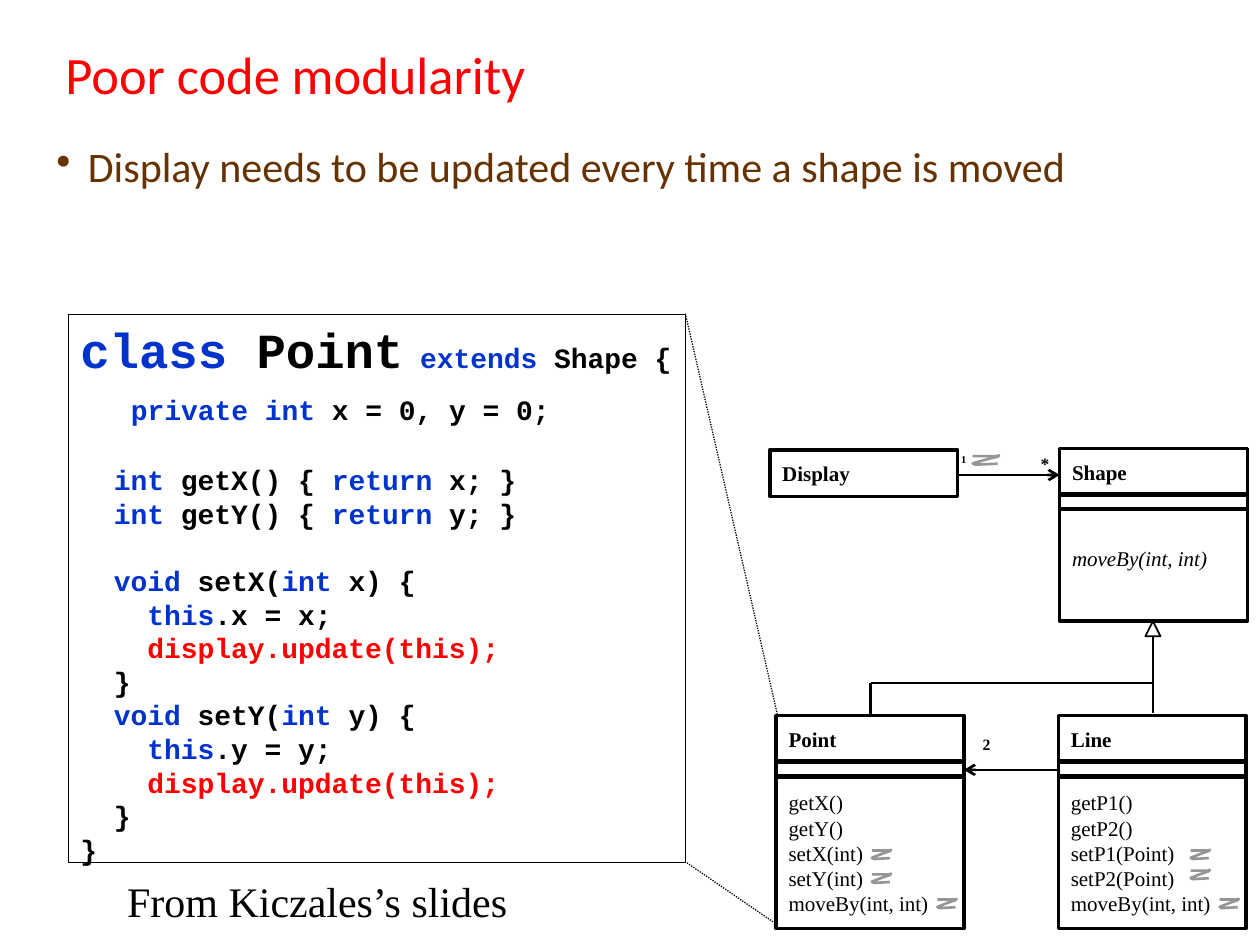
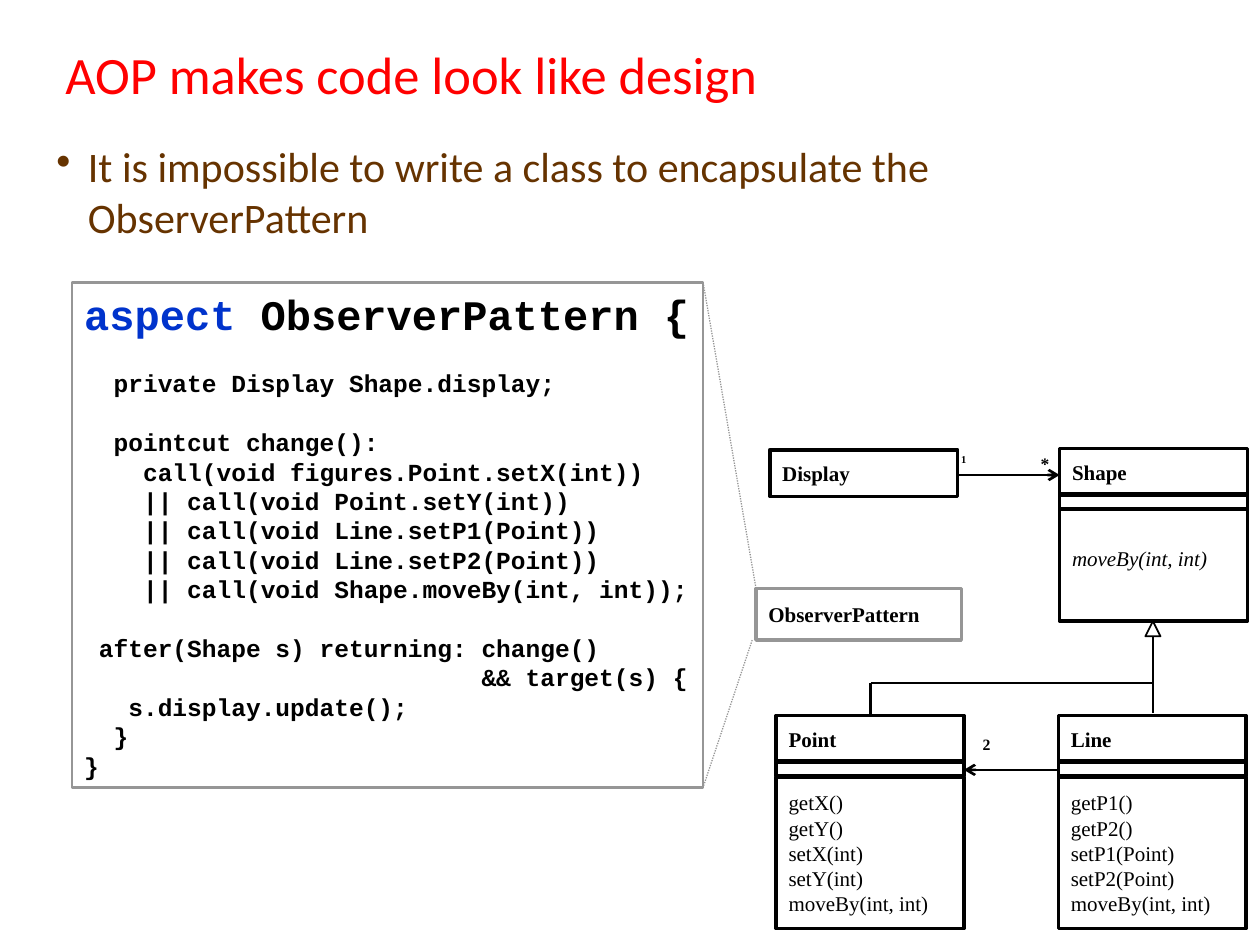
from dataclasses import dataclass

from lxml.etree import SubElement
from pptx import Presentation
from pptx.dml.color import RGBColor
from pptx.enum.dml import MSO_LINE
from pptx.enum.shapes import MSO_CONNECTOR, MSO_SHAPE
from pptx.enum.text import MSO_ANCHOR, PP_ALIGN
from pptx.oxml.ns import qn
from pptx.util import Inches, Pt


@dataclass(frozen=True)
class Theme:
    black: RGBColor = RGBColor(0, 0, 0)
    white: RGBColor = RGBColor(255, 255, 255)
    red: RGBColor = RGBColor(255, 0, 0)
    brown: RGBColor = RGBColor(0x66, 0x33, 0x00)
    keyword: RGBColor = RGBColor(0x00, 0x33, 0xCC)
    gray: RGBColor = RGBColor(0x96, 0x96, 0x96)
    heading_font: str = "Calibri"
    code_font: str = "Courier New"
    diagram_font: str = "Times New Roman"
    title_size: int = 30
    body_size: int = 24
    label_size: int = 12
    leading: float = 1.2


theme = Theme()
prs = Presentation()
prs.slide_width, prs.slide_height = Inches(10), Inches(7.5)
CELL = prs.slide_width / 100  # 100 columns by 75 rows of square cells


def add_box(slide, at, lines=(), font=theme.diagram_font, size=theme.label_size,
            color=theme.black, bold=False, italic=False, outline=None, weight=2,
            fill=None, anchor=MSO_ANCHOR.TOP):
    """Text box, or a rectangle when outlined. ~word~ marks a keyword, "" a blank line."""
    frame_at = [round(cells * CELL) for cells in at]
    if outline is None:
        box = slide.shapes.add_textbox(*frame_at)
    else:
        box = slide.shapes.add_shape(MSO_SHAPE.RECTANGLE, *frame_at)
        box.shadow.inherit = False
        box.line.color.rgb = outline
        box.line.width = Pt(weight)
        if fill is None:
            box.fill.background()
        else:
            box.fill.solid()
            box.fill.fore_color.rgb = fill
    frame = box.text_frame
    frame.word_wrap = True
    frame.vertical_anchor = anchor
    gap, first = 0, True
    for line in lines:
        if not line:
            gap += size * theme.leading
            continue
        paragraph = frame.paragraphs[0] if first else frame.add_paragraph()
        paragraph.alignment = PP_ALIGN.LEFT
        paragraph.line_spacing = 1.0
        if gap:
            paragraph.space_before = Pt(gap)
        gap, first = 0, False
        for index, part in enumerate(line.split("~")):
            if not part:
                continue
            run = paragraph.add_run()
            run.text = part
            run.font.name, run.font.size = font, Pt(size)
            run.font.bold, run.font.italic = bold, italic
            run.font.color.rgb = theme.keyword if index % 2 else color
            if "display.update(this)" in part:
                run.font.color.rgb = theme.red
    return box


def add_line(slide, start, end, color=theme.black, weight=1.5, dotted=False, arrow=False):
    ends = [round(cells * CELL) for cells in (*start, *end)]
    line = slide.shapes.add_connector(MSO_CONNECTOR.STRAIGHT, *ends)
    line.line.color.rgb = color
    line.line.width = Pt(weight)
    if dotted:
        line.line.dash_style = MSO_LINE.ROUND_DOT
    properties = line.line._get_or_add_ln()
    if arrow:
        SubElement(properties, qn("a:tailEnd"), type="arrow")
    SubElement(properties.getparent(), qn("a:effectLst"))


point_code = [
    "~class~ Point~ extends~ Shape {",
    "  ~private int ~x = 0, y = 0;",
    "",
    "  ~int ~getX() { ~return ~x; }",
    "  ~int ~getY() { ~return ~y; }",
    "",
    "  ~void ~setX(~int ~x) {",
    "    ~this~.x = x;",
    "    display.update(this);",
    "  }",
    "  ~void ~setY(~int ~y) {",
    "    ~this~.y = y;",
    "    display.update(this);",
    "  }",
    "}",
]
aspect_code = [
    "~aspect~ ObserverPattern {",
    "",
    "  private Display Shape.display;",
    "",
    "  pointcut change():",
    "    call(void figures.Point.setX(int))",
    "    || call(void Point.setY(int))",
    "    || call(void Line.setP1(Point))",
    "    || call(void Line.setP2(Point))",
    "    || call(void Shape.moveBy(int, int));",
    "",
    " after(Shape s) returning: change()",
    "                           && target(s) {",
    "   s.display.update();",
    "  }",
    "}",
]

# name, left, top, gap above the methods, height of the methods, methods
uml_classes = [
    ("Point", 61.6, 56.8, 1.3, 12,
     ["getX()", "getY()", "setX(int)", "setY(int)", "moveBy(int, int)"]),
    ("Line", 84, 56.8, 1.3, 12,
     ["getP1()", "getP2()", "setP1(Point)", "setP2(Point)", "moveBy(int, int)"]),
    ("Shape", 84.1, 35.6, 0.1, 10, ["moveBy(int, int)"]),
]
CLASS_WIDTH, NAME_HEIGHT, STRIP_TOP, STRIP_HEIGHT = 14.9, 3.7, 3.6, 1.2
inheritance = [((69.1, 56.7), (69.1, 54.2)), ((91.5, 56.6), (91.5, 54.1)),
               ((69.1, 54.2), (91.5, 54.2)), ((91.5, 54.2), (91.5, 50.5))]
associations = [((84, 61.1), (76.5, 61.1)), ((76, 37.7), (84.1, 37.7))]
multiplicities = [("1", 6, (75.3, 35.5, 2.9, 2)), ("2", 9, (77, 57.8, 2.5, 2.5)),
                  ("*", 10, (81.6, 35.5, 2.5, 2.7))]

# left, top and width of each update mark
update_marks = [(77.2, 36.1, 2.2), (69.2, 67.4, 1.6), (69.2, 69.3, 1.6), (74.4, 71.3, 1.6),
                (94.5, 67.4, 1.6), (94.5, 69, 1.6), (96.8, 71.3, 1.6)]
MARK_HEIGHT = 0.8
mark_outline = [(0, 0.12), (0.85, 0.12), (0.95, 0.05), (0.9, 0.18), (0.5, 0.45),
                (0, 0.85), (0.1, 0.97), (0.9, 0.88)]

pages = [
    ("Poor code modularity", "Display needs to be updated every time a shape is moved"),
    ("AOP makes code look like design",
     "It is impossible to write a class to encapsulate the ObserverPattern"),
]
slides = []
for title, message in pages:
    slide = prs.slides.add_slide(prs.slide_layouts[6])
    slides.append(slide)
    add_box(slide, (4.2, 3.3, 90.8, 5), [title], theme.heading_font, theme.title_size,
            theme.red, anchor=MSO_ANCHOR.MIDDLE)
    body = add_box(slide, (3.5, 10.7, 91.7, 56.7), [message], theme.heading_font,
                   theme.body_size, theme.brown)
    bullet = body.text_frame.paragraphs[0]._p.get_or_add_pPr()
    bullet.set("marL", str(Inches(0.25)))
    bullet.set("indent", str(-Inches(0.25)))
    SubElement(bullet, qn("a:buChar"), char="•")

    add_box(slide, (61.1, 35.7, CLASS_WIDTH, NAME_HEIGHT), ["Display"], bold=True,
            outline=theme.black, anchor=MSO_ANCHOR.MIDDLE)
    for name, left, top, gap, height, methods in uml_classes:
        strip = top + STRIP_TOP
        add_box(slide, (left, top, CLASS_WIDTH, NAME_HEIGHT), [name], bold=True,
                outline=theme.black, anchor=MSO_ANCHOR.MIDDLE)
        add_box(slide, (left, strip + gap, CLASS_WIDTH, height), methods,
                italic=name == "Shape", outline=theme.black, anchor=MSO_ANCHOR.MIDDLE)
        add_box(slide, (left, strip, CLASS_WIDTH, STRIP_HEIGHT), outline=theme.black)
    for start, end in inheritance:
        add_line(slide, start, end)
    for start, end in associations:
        add_line(slide, start, end, arrow=True)
    for count, size, at in multiplicities:
        add_box(slide, at, [count], size=size, bold=True)
    generalization = slide.shapes.add_shape(
        MSO_SHAPE.ISOSCELES_TRIANGLE, *(round(cells * CELL) for cells in (90.9, 49.3, 1.2, 1.2)))
    generalization.shadow.inherit = False
    generalization.fill.solid()
    generalization.fill.fore_color.rgb = theme.white
    generalization.line.color.rgb = theme.black
    generalization.line.width = Pt(1)

scattered, modular = slides

# Update calls scattered over the classes
point_class = add_box(scattered, (5.4, 24.9, 49, 43.5), point_code, theme.code_font, 16,
                      bold=True, outline=theme.black, weight=0.25, fill=theme.white)
heading, fields = point_class.text_frame.paragraphs[:2]
for run in heading.runs[:2]:
    run.font.size = Pt(28)
fields.runs[0].font.size = Pt(24)
add_line(scattered, (61.7, 56.7), (54.4, 24.9), weight=0.75, dotted=True)
add_line(scattered, (61.7, 73.4), (54.4, 68.4), weight=0.75, dotted=True)
for left, top, width in update_marks:
    trail = [(round((left + x * width) * CELL), round((top + y * MARK_HEIGHT) * CELL))
             for x, y in mark_outline]
    builder = scattered.shapes.build_freeform(*trail[0])
    builder.add_line_segments(trail[1:], close=False)
    mark = builder.convert_to_shape()
    mark.shadow.inherit = False
    mark.fill.background()
    mark.line.color.rgb = theme.gray
    mark.line.width = Pt(1.5)
add_box(scattered, (9.1, 69, 35.8, 4), ["From Kiczales’s slides"], size=theme.body_size)

# Update calls gathered in one aspect
aspect = add_box(modular, (5.7, 22.4, 50.1, 40.1), aspect_code, theme.code_font, 14,
                 bold=True, outline=theme.gray, weight=1.5, fill=theme.white)
aspect.text_frame.margin_right = 0
for run in aspect.text_frame.paragraphs[0].runs:
    run.font.size = Pt(24)
add_box(modular, (60, 46.7, 16.3, 4.1), ["ObserverPattern"], bold=True,
        outline=theme.gray, anchor=MSO_ANCHOR.MIDDLE)
add_line(modular, (60, 46.7), (55.8, 22.4), theme.gray, 0.75, dotted=True)
add_line(modular, (59.7, 50.8), (55.8, 62.5), theme.gray, 0.75, dotted=True)

prs.save("out.pptx")
